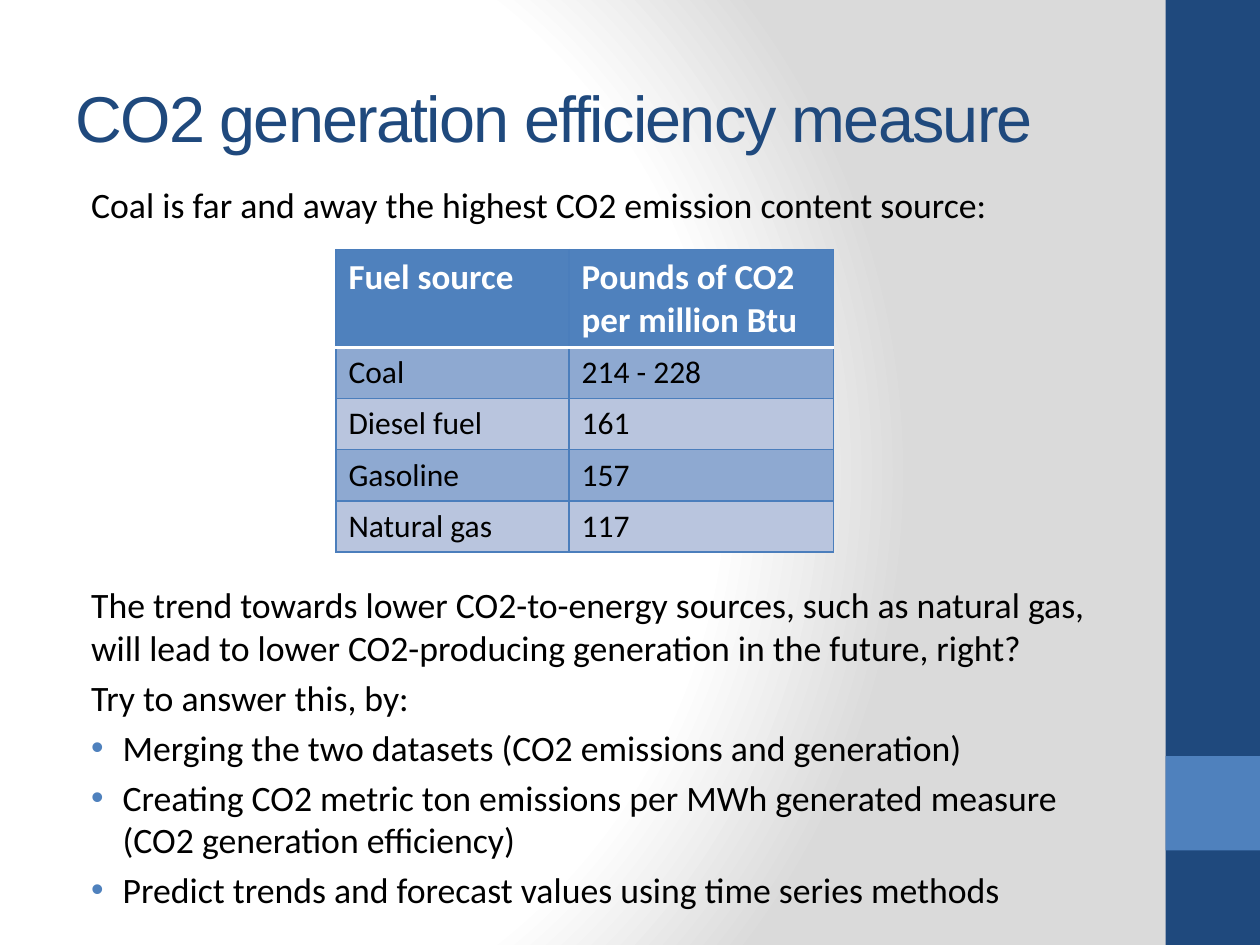
from dataclasses import dataclass

import lxml.etree
import pptx
import pptx.dml.color
import pptx.enum.shapes
import pptx.enum.text
import pptx.oxml
import pptx.oxml.ns
import pptx.util

Pt = pptx.util.Pt
qn = pptx.oxml.ns.qn

COLORS = {
    "navy": "1F497D",
    "blue": "4F81BD",
    "border": "4B7EBC",
    "dark_band": "8EA9D1",
    "light_band": "B9C5DE",
    "white": "FFFFFF",
    "gray": "DADADA",
    "black": "000000",
}
BODY_LINE = 24.3
BODY_GAP = 4.3
TABLE_GAP = 7 * (BODY_LINE + BODY_GAP) + BODY_GAP


@dataclass
class Panel:
    left: float
    top: float
    width: float
    height: float
    color: str


@dataclass
class BodyLine:
    text: str
    space_before: float = BODY_GAP
    bullet: bool = False


PANELS = [
    Panel(666, 0, 54, 540, "navy"),
    Panel(666, 432, 54, 54, "blue"),
]
BODY = [
    BodyLine("Coal is far and away the highest CO2 emission content source:", 0),
    BodyLine("The trend towards lower CO2-to-energy sources, such as natural gas, "
             "will lead to lower CO2-producing generation in the future, right?", TABLE_GAP),
    BodyLine("Try to answer this, by:"),
    BodyLine("Merging the two datasets (CO2 emissions and generation)", bullet=True),
    BodyLine("Creating CO2 metric ton emissions per MWh generated measure "
             "(CO2 generation efficiency)", bullet=True),
    BodyLine("Predict trends and forecast values using time series methods", bullet=True),
]
FUELS = [
    ("Fuel source", "Pounds of CO2 per million Btu"),
    ("Coal", "214 - 228"),
    ("Diesel fuel", "161"),
    ("Gasoline", "157"),
    ("Natural gas", "117"),
]
COLUMN_WIDTHS = (133.2, 151.2)
HEADER_HEIGHT, ROW_HEIGHT = 56, 29.2


def rgb(name: str) -> pptx.dml.color.RGBColor:
    return pptx.dml.color.RGBColor.from_string(COLORS[name])


def write_text(paragraph, text: str, *, size: float, color: str = "black",
               font: str = "Calibri", bold: bool = False, spacing: float = 0) -> None:
    paragraph.alignment = pptx.enum.text.PP_ALIGN.LEFT
    run = paragraph.add_run()
    run.text = text
    run.font.name = font
    run.font.size = Pt(size)
    run.font.bold = bold
    run.font.color.rgb = rgb(color)
    if spacing:
        run.font._element.set("spc", str(round(spacing * 100)))


def set_background(slide) -> None:
    """Fill the slide with a circular gradient from white to gray."""
    slide.background.fill.solid()
    properties = slide.element.find(".//" + qn("p:bgPr"))
    stops = "".join(
        f'<a:gs pos="{percent * 1000}"><a:srgbClr val="{COLORS[color]}"/></a:gs>'
        for percent, color in ((0, "white"), (75, "white"), (100, "gray")))
    gradient = pptx.oxml.parse_xml(
        f'<a:gradFill {pptx.oxml.ns.nsdecls("a")} rotWithShape="1"><a:gsLst>{stops}</a:gsLst>'
        '<a:path path="circle"><a:fillToRect l="20000" t="50000" r="100000" b="50000"/>'
        '</a:path></a:gradFill>')
    properties.replace(properties.find(qn("a:solidFill")), gradient)


def add_panel(slide, panel: Panel) -> None:
    shape = slide.shapes.add_shape(
        pptx.enum.shapes.MSO_SHAPE.RECTANGLE,
        Pt(panel.left), Pt(panel.top), Pt(panel.width), Pt(panel.height))
    shape.shadow.inherit = False
    shape.fill.solid()
    shape.fill.fore_color.rgb = rgb(panel.color)
    shape.line.fill.background()


def format_title(title) -> None:
    title.left, title.top, title.width, title.height = Pt(36), Pt(21.6), Pt(600), Pt(90)
    frame = title.text_frame
    frame.auto_size = pptx.enum.text.MSO_AUTO_SIZE.NONE
    frame.vertical_anchor = pptx.enum.text.MSO_ANCHOR.MIDDLE
    write_text(frame.paragraphs[0], "CO2 generation efficiency measure",
               size=37, color="navy", font="Arial", spacing=-1)


def indent(paragraph, bullet: bool) -> None:
    properties = paragraph._p.get_or_add_pPr()
    left, first = (27, -18) if bullet else (9, 0)
    properties.set("marL", str(Pt(left)))
    properties.set("indent", str(Pt(first)))
    if bullet:
        bullet_color = lxml.etree.SubElement(properties, qn("a:buClr"))
        lxml.etree.SubElement(bullet_color, qn("a:srgbClr"), val=COLORS["blue"])
        lxml.etree.SubElement(properties, qn("a:buFont"), typeface="Arial")
        lxml.etree.SubElement(properties, qn("a:buChar"), char="•")


def add_body(slide) -> None:
    frame = slide.shapes.add_textbox(Pt(36), Pt(101), Pt(600), Pt(425)).text_frame
    frame.word_wrap = True
    for number, line in enumerate(BODY):
        paragraph = frame.add_paragraph() if number else frame.paragraphs[0]
        write_text(paragraph, line.text, size=20.4)
        paragraph.line_spacing = Pt(BODY_LINE)
        paragraph.space_before = Pt(line.space_before)
        indent(paragraph, line.bullet)


def set_border(cell, side: str, color: str, width: float) -> None:
    """Draw one side of a cell; the side is L, R, T or B."""
    line = pptx.oxml.parse_xml(
        f'<a:ln{side} {pptx.oxml.ns.nsdecls("a")} w="{Pt(width)}"><a:solidFill>'
        f'<a:srgbClr val="{COLORS[color]}"/></a:solidFill></a:ln{side}>')
    cell._tc.get_or_add_tcPr().append(line)


def format_cell(cell, text: str, row: int) -> None:
    header = row == 0
    write_text(cell.text_frame.paragraphs[0], text, size=20 if header else 18,
               color="white" if header else "black", bold=header)
    for side in "LRTB":
        divider = (row, side) in ((0, "B"), (1, "T"))
        set_border(cell, side, "white" if divider else "border", 2 if divider else 1)
    cell.fill.solid()
    band = "dark_band" if row % 2 else "light_band"
    cell.fill.fore_color.rgb = rgb("blue" if header else band)


def add_fuel_table(slide) -> None:
    height = HEADER_HEIGHT + ROW_HEIGHT * (len(FUELS) - 1)
    table = slide.shapes.add_table(
        len(FUELS), len(COLUMN_WIDTHS), Pt(192), Pt(142.6),
        Pt(sum(COLUMN_WIDTHS)), Pt(height)).table
    for column, width in zip(table.columns, COLUMN_WIDTHS):
        column.width = Pt(width)
    for row, values in enumerate(FUELS):
        table.rows[row].height = Pt(ROW_HEIGHT if row else HEADER_HEIGHT)
        for column, text in enumerate(values):
            format_cell(table.cell(row, column), text, row)


def main() -> None:
    presentation = pptx.Presentation()
    presentation.slide_width, presentation.slide_height = Pt(720), Pt(540)
    slide = presentation.slides.add_slide(presentation.slide_layouts[5])
    set_background(slide)
    for panel in PANELS:
        add_panel(slide, panel)
    format_title(slide.shapes.title)
    add_body(slide)
    add_fuel_table(slide)
    presentation.save("out.pptx")


if __name__ == "__main__":
    main()
